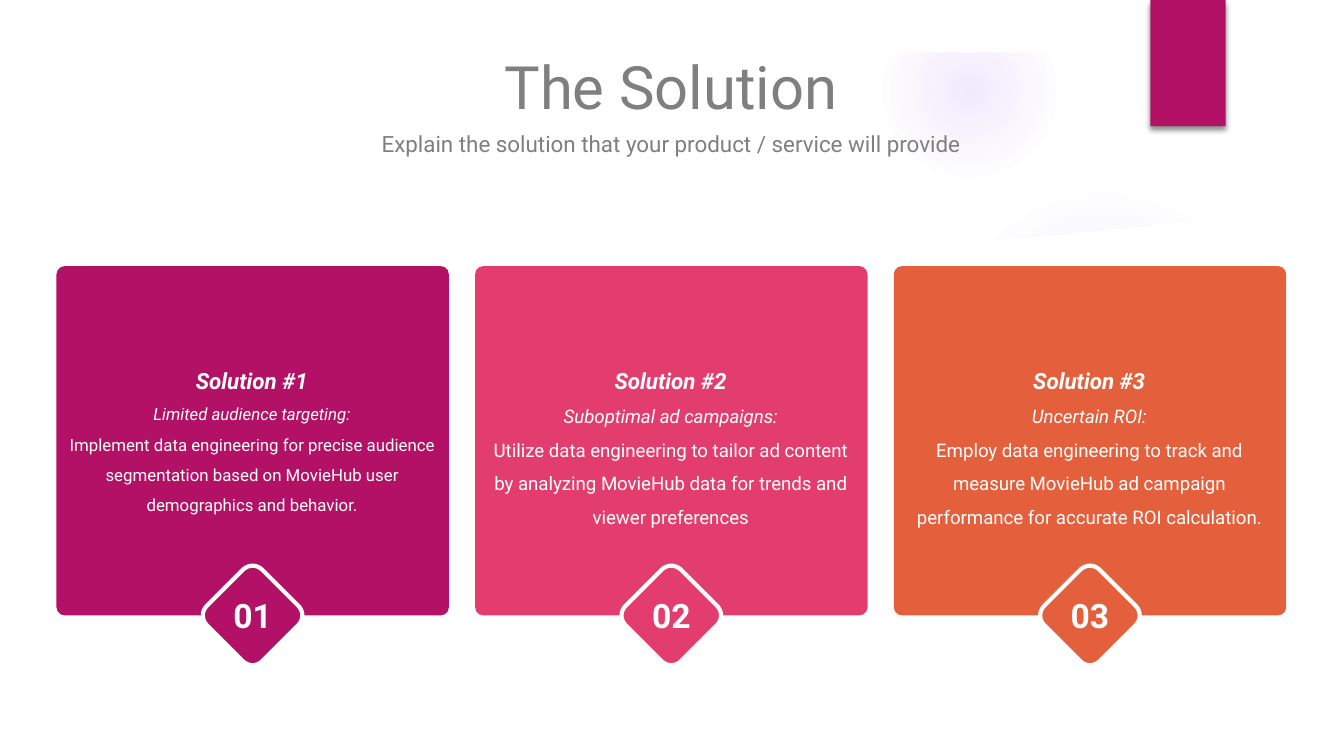
from dataclasses import dataclass
from math import cos, radians, sin

from lxml import etree
from pptx import Presentation
from pptx import util as u
from pptx.dml.color import RGBColor
from pptx.enum import shapes, text
from pptx.oxml import parse_xml
from pptx.oxml.ns import nsdecls, qn


@dataclass(frozen=True)
class Theme:
    font: str = "Roboto"
    white: str = "FFFFFF"
    grey: str = "7F7F7F"
    glow: str = "9B6BF2"
    ribbon: str = "B31166"
    title: float = 32
    subtitle: float = 12
    heading: float = 12
    number: float = 18


@dataclass(frozen=True)
class Glow:
    left: float
    top: float
    size: float
    stops: tuple[tuple[int, int], ...]  # (position, opacity) in percent


@dataclass(frozen=True)
class Card:
    heading: str
    problem: str
    answer: str
    color: str
    size: float


T = Theme()
SLIDE_W, SLIDE_H = u.Inches(10), u.Inches(10) * 9 // 16
CARD_LEFT, CARD_TOP, CARD_W, CARD_H = 0.42, 1.98, 2.92, 2.6
CARD_STEP = (6.65 - CARD_LEFT) / 2
UNITS = 1000  # outline units per inch

GLOWS = [
    Glow(7.06, 1.38, 2.31, ((0, 7), (36, 6), (69, 0))),
    Glow(6.56, 0.01, 1.31, ((0, 14), (36, 7), (73, 0))),
]
WAVE = [(0.38, 1.53), (1.4, 1.66), (2.4, 1.75), (3.33, 1.81), (4.37, 1.85),
        (5.5, 1.86), (6.5, 1.84), (7.12, 1.81), (7.74, 1.76), (8.37, 1.7),
        (9, 1.63), (9.63, 1.53), (9.63, 5.25), (0.38, 5.25)]
CARDS = [
    Card("Solution #1", "Limited audience targeting:",
         "Implement data engineering for precise audience segmentation "
         "based on MovieHub user demographics and behavior.", "B31166", 9),
    Card("Solution #2", "Suboptimal ad campaigns:",
         "Utilize data engineering to tailor ad content by analyzing "
         "MovieHub data for trends and viewer preferences", "E33D6F", 10),
    Card("Solution #3", "Uncertain ROI:",
         "Employ data engineering to track and measure MovieHub ad campaign "
         "performance for accurate ROI calculation.", "E45F3C", 10),
]


def box(*lengths: float) -> list[u.Length]:
    return [u.Inches(v) for v in lengths]


def paint(sp, fill: str, line: str | None = None) -> None:
    sp.shadow.inherit = False
    sp.fill.solid()
    sp.fill.fore_color.rgb = RGBColor.from_string(fill)
    if line:
        sp.line.color.rgb = RGBColor.from_string(line)
        sp.line.width = u.Pt(2.25)
    else:
        sp.line.fill.background()


def add_preset(s, kind, at: tuple[float, ...], fill: str):
    sp = s.shapes.add_shape(kind, *box(*at))
    paint(sp, fill)
    return sp


def add_outline(s, points: list[tuple[float, float]], fill: str, line: str | None = None):
    start, *rest = [(round(x * UNITS), round(y * UNITS)) for x, y in points]
    builder = s.shapes.build_freeform(*start, scale=u.Inches(1) / UNITS)
    builder.add_line_segments(rest, close=True)
    sp = builder.convert_to_shape()
    paint(sp, fill, line)
    return sp


def add_run(p, words: str, size: float, color: str = T.white, **styles: bool) -> None:
    r = p.add_run()
    r.text = words
    formats = {"name": T.font, "size": u.Pt(size), "bold": False, "italic": False, **styles}
    for name, value in formats.items():
        setattr(r.font, name, value)
    r.font.color.rgb = RGBColor.from_string(color)


def set_frame(tf, anchor, inset: float = 0) -> None:
    formats = {"word_wrap": True, "auto_size": text.MSO_AUTO_SIZE.NONE, "vertical_anchor": anchor}
    formats |= {f"margin_{side}": u.Inches(inset) for side in ("left", "top", "right", "bottom")}
    for name, value in formats.items():
        setattr(tf, name, value)


def add_glow(s, glow: Glow) -> None:
    """Draw a circle whose colour fades out from its centre."""
    at = (glow.left, glow.top, glow.size, glow.size)
    sp = add_preset(s, shapes.MSO_SHAPE.OVAL, at, T.glow)
    stops = "".join(
        f'<a:gs pos="{pos * 1000}"><a:srgbClr val="{T.glow}">'
        f'<a:alpha val="{alpha * 1000}"/></a:srgbClr></a:gs>' for pos, alpha in glow.stops)
    fade = parse_xml(
        f'<a:gradFill {nsdecls("a")} rotWithShape="1"><a:gsLst>{stops}</a:gsLst>'
        '<a:path path="circle"><a:fillToRect l="50000" t="50000" r="50000" b="50000"/>'
        '</a:path></a:gradFill>')
    props = sp._element.spPr
    props.replace(props.find(qn("a:solidFill")), fade)


def add_ribbon(s) -> None:
    sp = add_preset(s, shapes.MSO_SHAPE.RECTANGLE, (8.56, 0, 0.56, 0.94), T.ribbon)
    sp._element.spPr.find(qn("a:effectLst")).append(parse_xml(
        f'<a:outerShdw {nsdecls("a")} blurRad="{u.Pt(3)}" dist="{u.Pt(2)}" dir="5400000">'
        '<a:srgbClr val="000000"><a:alpha val="45000"/></a:srgbClr></a:outerShdw>'))


def fill_placeholder(s, ph, at: tuple[float, ...], words: str, size: float) -> None:
    """Place a template placeholder in front of the background and write its line."""
    ph.left, ph.top, ph.width, ph.height = box(*at)
    set_frame(ph.text_frame, text.MSO_ANCHOR.MIDDLE)
    p = ph.text_frame.paragraphs[0]
    p.alignment, p.space_before = text.PP_ALIGN.CENTER, u.Pt(0)
    add_run(p, words, size, T.grey)
    props = p._p.get_or_add_pPr()
    props.set("marL", "0")
    props.set("indent", "0")
    etree.SubElement(props, qn("a:buNone"))
    s.shapes._spTree.append(ph._element)


def rounded_diamond(cx: float, cy: float, reach: float = 0.37,
                    radius: float = 0.1) -> list[tuple[float, float]]:
    points = []
    for corner in range(0, 360, 90):
        x = cx + (reach - radius) * cos(radians(corner))
        y = cy + (reach - radius) * sin(radians(corner))
        points += [(x + radius * cos(radians(a)), y + radius * sin(radians(a)))
                   for a in range(corner - 45, corner + 46, 9)]
    return points


def add_card(s, index: int, card: Card) -> None:
    left = CARD_LEFT + index * CARD_STEP
    panel = add_preset(s, shapes.MSO_SHAPE.ROUNDED_RECTANGLE,
                       (left, CARD_TOP, CARD_W, CARD_H), card.color)
    panel.adjustments[0] = 0.024

    tf = s.shapes.add_textbox(*box(left + 0.09, 2.63, 2.73, 1.41)).text_frame
    set_frame(tf, text.MSO_ANCHOR.TOP)
    intro, detail = tf.paragraphs[0], tf.add_paragraph()
    for p in (intro, detail):
        p.alignment, p.line_spacing = text.PP_ALIGN.CENTER, 1.5
    add_run(intro, card.heading, T.heading, bold=True, italic=True)
    intro.add_line_break()
    add_run(intro, card.problem, card.size, italic=True)
    add_run(detail, card.answer, card.size)

    diamond = rounded_diamond(left + CARD_W / 2, CARD_TOP + CARD_H)
    badge = add_outline(s, diamond, card.color, T.white)
    set_frame(badge.text_frame, text.MSO_ANCHOR.MIDDLE, 0.05)
    p = badge.text_frame.paragraphs[0]
    p.alignment = text.PP_ALIGN.CENTER
    add_run(p, f"{index + 1:02}", T.number, bold=True)


def main() -> None:
    prs = Presentation()
    prs.slide_width, prs.slide_height = SLIDE_W, SLIDE_H
    s = prs.slides.add_slide(prs.slide_layouts[1])
    title, subtitle = s.placeholders
    for glow in GLOWS:
        add_glow(s, glow)
    add_outline(s, WAVE, T.white)
    add_preset(s, shapes.MSO_SHAPE.RECTANGLE, (0, 0, 10, 0.39), T.white)
    add_ribbon(s)
    fill_placeholder(s, subtitle, (0.42, 0.97, 9.15, 0.19),
                     "Explain the solution that your product / service will provide", T.subtitle)
    fill_placeholder(s, title, (0.42, 0.37, 9.15, 0.54), "The Solution", T.title)
    for index, card in enumerate(CARDS):
        add_card(s, index, card)
    prs.save("out.pptx")


if __name__ == "__main__":
    main()
